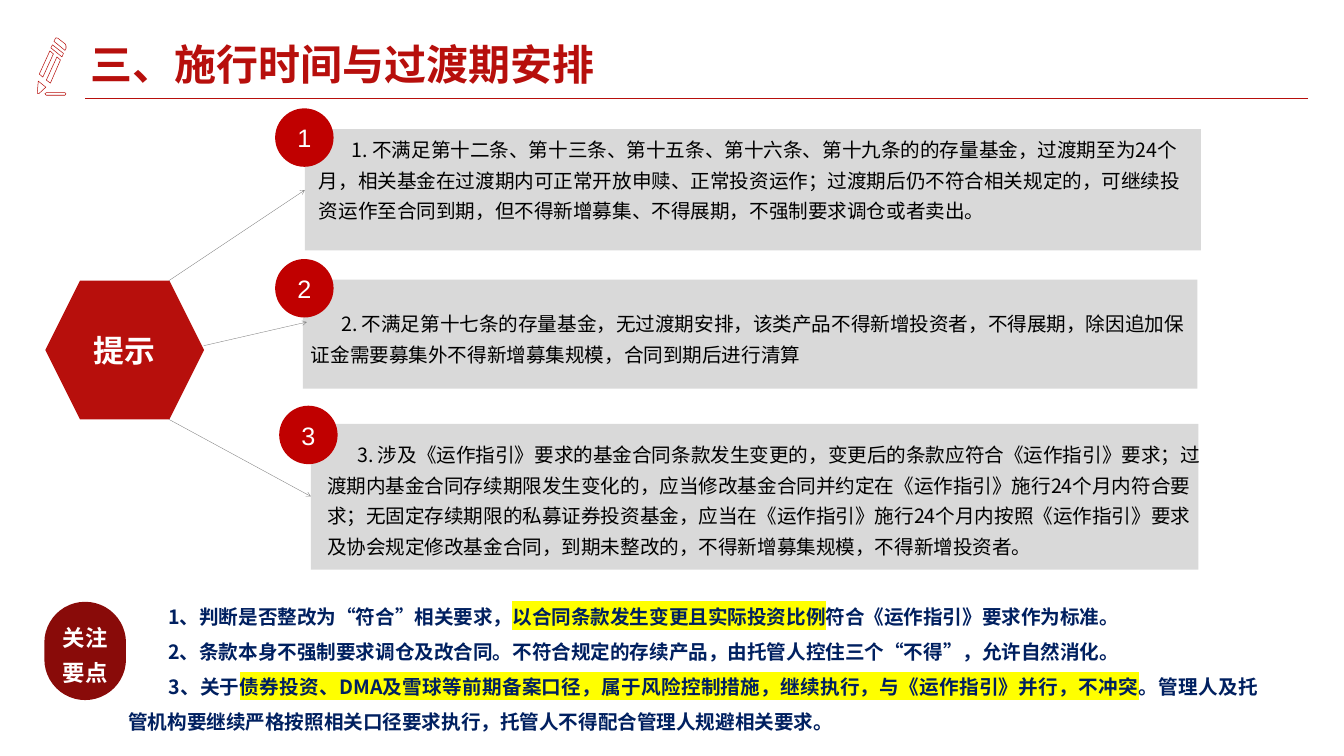
from dataclasses import dataclass

from lxml.etree import SubElement
from pptx import Presentation
from pptx.dml.color import RGBColor
from pptx.enum.shapes import MSO_CONNECTOR, MSO_SHAPE as Shape
from pptx.enum.text import MSO_ANCHOR as Anchor, MSO_AUTO_SIZE as AutoSize, PP_ALIGN as Align
from pptx.oxml.ns import qn
from pptx.slide import Slide
from pptx.util import Inches, Pt

RED = RGBColor(0xB7, 0x0F, 0x0C)
BADGE_RED = RGBColor(0xC0, 0x00, 0x00)
DARK_RED = RGBColor(0x89, 0x0B, 0x09)
PANEL = RGBColor(0xD9, 0xD9, 0xD9)
GRAY = RGBColor(0x80, 0x80, 0x80)
NAVY = RGBColor(0x00, 0x20, 0x60)
YELLOW = RGBColor(0xFF, 0xFF, 0x00)
BLACK = RGBColor(0x00, 0x00, 0x00)
WHITE = RGBColor(0xFF, 0xFF, 0xFF)


def write_text(frame, paragraphs, *, size, color=WHITE, bold=False, font="Noto Sans CJK SC",
               align=Align.CENTER, anchor=Anchor.MIDDLE, inset=(0.1, 0.05), indent=0, spacing=1.0):
    """Each paragraph is a list of (text, highlighted) pairs."""
    frame.word_wrap = True
    frame.vertical_anchor = anchor
    frame.margin_left = frame.margin_right = Inches(inset[0])
    frame.margin_top = frame.margin_bottom = Inches(inset[1])
    for index, pieces in enumerate(paragraphs):
        para = frame.add_paragraph() if index else frame.paragraphs[0]
        para.alignment, para.line_spacing = align, spacing
        if indent:
            para._p.get_or_add_pPr().set("indent", str(Inches(indent)))
        for text, highlighted in pieces:
            span = para.add_run()
            span.text = text
            span.font.size, span.font.bold, span.font.name = Pt(size), bold, font
            span.font.color.rgb = color
            props = span._r.get_or_add_rPr()
            props.find(qn("a:latin")).addnext(props.makeelement(qn("a:ea"), {"typeface": font}))
            if highlighted:
                mark = props.makeelement(qn("a:highlight"), {})
                SubElement(mark, qn("a:srgbClr"), val=str(YELLOW))
                props.find(qn("a:solidFill")).addnext(mark)


def plain(text):
    return [[(text, False)]]


@dataclass
class Painter:
    page: Slide
    rule_width: float = 0.75

    def text(self, place, paragraphs, grow=True, **style):
        box = self.page.shapes.add_textbox(*map(Inches, place))
        write_text(box.text_frame, paragraphs, **style)
        if grow:
            box.text_frame.auto_size = AutoSize.SHAPE_TO_FIT_TEXT

    def shape(self, kind, place, fill, label=None, **style):
        shape = self.page.shapes.add_shape(kind, *map(Inches, place))
        shape.shadow.inherit = False
        shape.fill.solid()
        shape.fill.fore_color.rgb = fill
        shape.line.fill.background()
        if label:
            write_text(shape.text_frame, plain(label), **style)
        return shape

    def line(self, start, end, color, width, arrow=False):
        line = self.page.shapes.add_connector(MSO_CONNECTOR.STRAIGHT, *map(Inches, start + end))
        line.line.color.rgb = color
        line.line.width = Pt(width)
        if arrow:
            SubElement(line.line._get_or_add_ln(), qn("a:tailEnd"), type="arrow")
        SubElement(line._element.spPr, qn("a:effectLst"))

    def outline(self, contours):
        """Contours are lists of points in hundredths of an inch."""
        builder = self.page.shapes.build_freeform(*contours[0][0], scale=Inches(0.01))
        for index, (first, *rest) in enumerate(contours):
            if index:
                builder.move_to(*first)
            builder.add_line_segments(rest, close=True)
        shape = builder.convert_to_shape()
        shape.shadow.inherit = False
        shape.fill.solid()
        shape.fill.fore_color.rgb = WHITE
        shape.line.color.rgb = RED
        shape.line.width = Pt(self.rule_width)


PENCIL = [
    [(92, 184), (129, 184), (131, 186), (129, 189), (92, 189), (89, 186)],
    [(92, 159), (113, 113), (120, 119), (100, 165)],
    [(78, 147), (99, 101), (106, 107), (85, 153)],
    [(74, 184), (76, 161), (91, 173), (77, 186), (75, 186)],
    [(104, 89), (101, 95), (123, 113), (126, 106)],
    [(109, 78), (111, 75), (115, 76), (129, 87), (131, 91), (131, 96), (129, 100), (107, 82)],
]

# Panel, text place, first-line indent, badge corner, arrow start and end, wording
RULES = [
    ((6.05, 2.56, 17.78, 2.41), (6.25, 2.56, 17.29, 1.85), 0.65, (5.46, 2.15),
     (3.35, 5.57), (6.05, 3.77),
     "1. 不满足第十二条、第十三条、第十五条、第十六条、第十九条的的存量基金，过渡期至为24个月，"
     "相关基金在过渡期内可正常开放申赎、正常投资运作；过渡期后仍不符合相关规定的，"
     "可继续投资运作至合同到期，但不得新增募集、不得展期，不强制要求调仓或者卖出。"),
    ((6.01, 5.55, 17.75, 2.16), (6.09, 6.01, 17.63, 1.24), 0.6, (5.46, 5.14),
     (4.04, 6.86), (6.09, 6.39),
     "2. 不满足第十七条的存量基金，无过渡期安排，该类产品不得新增投资者，不得展期，"
     "除因追加保证金需要募集外不得新增募集规模，合同到期后进行清算"),
    ((6.17, 8.41, 17.61, 2.89), (6.41, 8.61, 17.63, 2.47), 0.6, (5.54, 8.05),
     (3.35, 8.32), (6.17, 9.85),
     "3. 涉及《运作指引》要求的基金合同条款发生变更的，变更后的条款应符合《运作指引》要求；"
     "过渡期内基金合同存续期限发生变化的，应当修改基金合同并约定在《运作指引》施行24个月内符合要求；"
     "无固定存续期限的私募证券投资基金，应当在《运作指引》施行24个月内按照《运作指引》要求"
     "及协会规定修改基金合同，到期未整改的，不得新增募集规模，不得新增投资者。"),
]

KEY_POINTS = [
    [("1、判断是否整改为“符合”相关要求，", False),
     ("以合同条款发生变更且实际投资比例", True),
     ("符合《运作指引》要求作为标准。", False)],
    [("2、条款本身不强制要求调仓及改合同。不符合规定的存续产品，"
      "由托管人控住三个“不得”，允许自然消化。", False)],
    [("3、关于", False),
     ("债券投资、DMA及雪球等前期备案口径，属于风险控制措施，继续执行，与《运作指引》并行，不冲突", True),
     ("。管理人及托管机构要继续严格按照相关口径要求执行，托管人不得配合管理人规避相关要求。", False)],
]


def main():
    deck = Presentation()
    deck.slide_width, deck.slide_height = Inches(26.67), Inches(15)
    painter = Painter(deck.slides.add_slide(deck.slide_layouts[6]))

    # Heading
    painter.outline(PENCIL)
    painter.line((25.96, 1.95), (1.69, 1.95), RED, painter.rule_width)
    painter.text((1.69, 0.7, 23, 1.24), plain("三、施行时间与过渡期安排"), grow=False,
                 size=60, color=RED, bold=True, align=Align.LEFT, spacing=0.9)

    # Hint and its three rules
    painter.shape(Shape.HEXAGON, (0.9, 5.57, 3.15, 2.75), RED, "提示",
                  size=44, bold=True, inset=(0.08, 0.04))
    for number, (panel, place, indent, badge, start, end, wording) in enumerate(RULES, 1):
        painter.shape(Shape.RECTANGLE, panel, PANEL)
        painter.text(place, plain(wording), size=28, color=BLACK, align=Align.LEFT,
                     anchor=Anchor.TOP, inset=(0.08, 0.04), indent=indent, spacing=1.3)
        painter.line(start, end, GRAY, 0.5, arrow=True)
        painter.shape(Shape.OVAL, badge + (1.16, 1.16), BADGE_RED, str(number),
                      size=36, font="Arial")

    # Key points
    painter.text((2.45, 11.71, 22.61, 2.85), KEY_POINTS, size=28, color=NAVY, bold=True,
                 align=Align.JUSTIFY, anchor=Anchor.TOP, indent=0.79, spacing=1.5)
    pill = painter.shape(Shape.ROUNDED_RECTANGLE, (0.88, 11.94, 1.62, 1.95), DARK_RED, "关注要点",
                         size=32, bold=True, inset=(0.02, 0.02), spacing=1.3)
    pill.adjustments[0] = 0.5

    deck.save("out.pptx")


if __name__ == "__main__":
    main()
